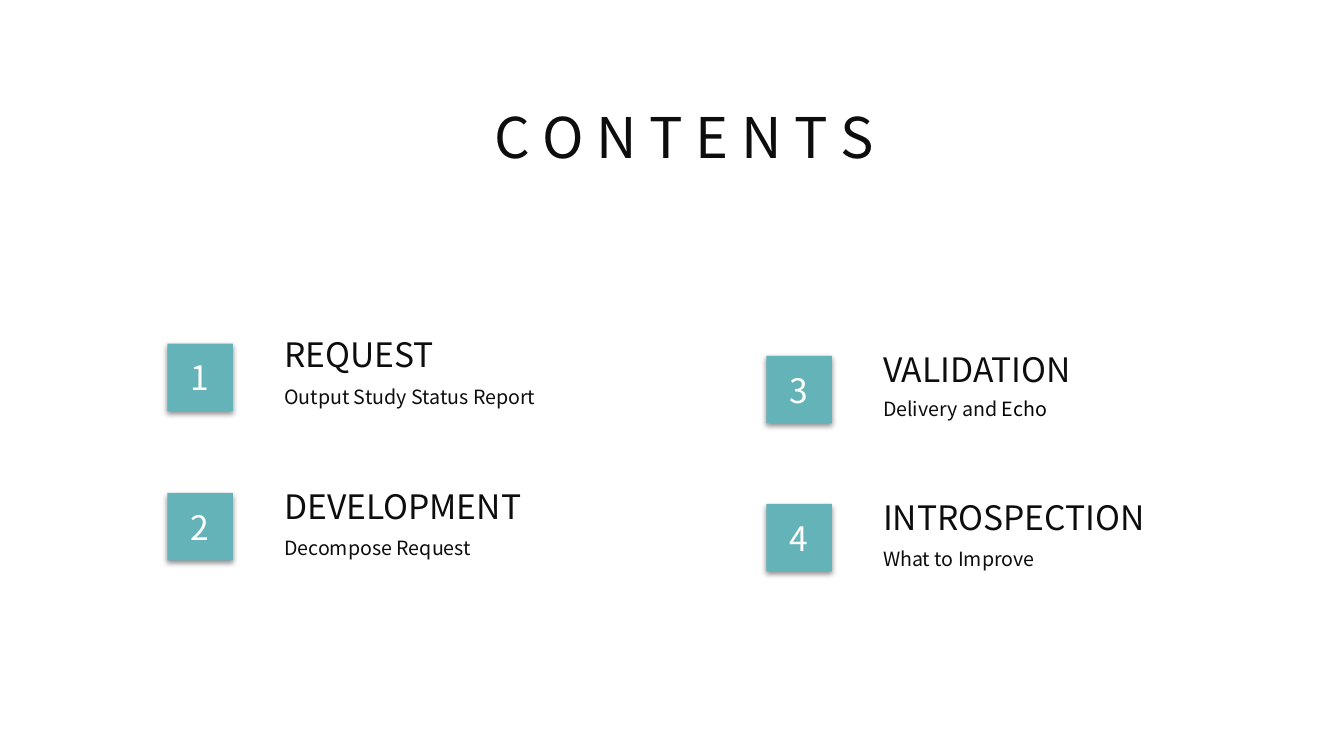
from lxml import etree
from pptx import Presentation
from pptx.dml.color import RGBColor as RGB
from pptx.enum.shapes import MSO_SHAPE as Shape
from pptx.enum.text import MSO_ANCHOR as Anchor, MSO_AUTO_SIZE as AutoSize, PP_ALIGN as Align
from pptx.oxml.ns import qn
from pptx.util import Inches, Pt

COLORS = {"ink": "0D0D0D", "black": "000000", "teal": "64B3B9", "white": "FFFFFF"}


class ContentsPage:
    font_name = "Noto Sans CJK SC"

    def __init__(self, deck):
        self.page = deck.slides.add_slide(deck.slide_layouts[6])

    def fill_text(self, frame, spans, size, align):
        para = frame.paragraphs[0]
        para.alignment = align
        for text, color in spans:
            span = para.add_run()
            span.text = text
            formats = {"name": self.font_name, "size": Pt(size)}
            for name, value in formats.items():
                setattr(span.font, name, value)
            span.font.color.rgb = RGB.from_string(COLORS[color])

    def text(self, left, top, width, height, spans, size, align=Align.LEFT):
        box = self.page.shapes.add_textbox(*map(Inches, (left, top, width, height)))
        formats = {"word_wrap": True, "auto_size": AutoSize.SHAPE_TO_FIT_TEXT}
        for name, value in formats.items():
            setattr(box.text_frame, name, value)
        self.fill_text(box.text_frame, spans, size, align)

    def badge(self, left, top, number):
        square = self.page.shapes.add_shape(
            Shape.RECTANGLE, *map(Inches, (left, top, 0.65, 0.67)))
        square.fill.solid()
        square.fill.fore_color.rgb = RGB.from_string(COLORS["teal"])
        square.line.fill.background()
        self.shadow(square)
        square.text_frame.vertical_anchor = Anchor.MIDDLE
        self.fill_text(square.text_frame, [(str(number), "white")], 24, Align.CENTER)

    def shadow(self, shape):
        shape.shadow.inherit = False
        effects = shape.element.spPr.find(qn("a:effectLst"))
        outer = etree.SubElement(
            effects, qn("a:outerShdw"), blurRad=str(Pt(4)), dist=str(Pt(2)),
            dir="5400000", algn="t", rotWithShape="0")
        color = etree.SubElement(outer, qn("a:srgbClr"), val=COLORS["black"])
        etree.SubElement(color, qn("a:alpha"), val="43000")

    def entry(self, number, left, badge_top, heading_top, detail_top, detail_width,
              heading, detail):
        text_left = left + 1.06
        self.badge(left, badge_top, number)
        self.text(text_left, heading_top, 3.64, 0.5, [(heading, "ink")], 24)
        self.text(text_left, detail_top, detail_width, 0.34, detail, 14)


def main():
    deck = Presentation()
    deck.slide_width, deck.slide_height = Inches(13.33), Inches(7.5)
    contents = ContentsPage(deck)
    contents.text(4.6, 0.97, 4.37, 0.77, [("C O N T E N T S", "ink")], 40, Align.CENTER)
    entries = [
        (1.66, 3.41, 3.26, 3.77, 4.36, "REQUEST", [("Output Study Status Report", "ink")]),
        (1.66, 4.89, 4.77, 5.27, 4.17, "DEVELOPMENT", [("Decompose Request", "ink")]),
        (7.6, 3.53, 3.41, 3.89, 4.17, "VALIDATION",
         [("Delivery and ", "ink"), ("Echo", "black")]),
        (7.6, 5, 4.88, 5.38, 4.17, "INTROSPECTION", [("What to Improve", "ink")]),
    ]
    for number, entry in enumerate(entries, 1):
        contents.entry(number, *entry)
    deck.save("out.pptx")


if __name__ == "__main__":
    main()
